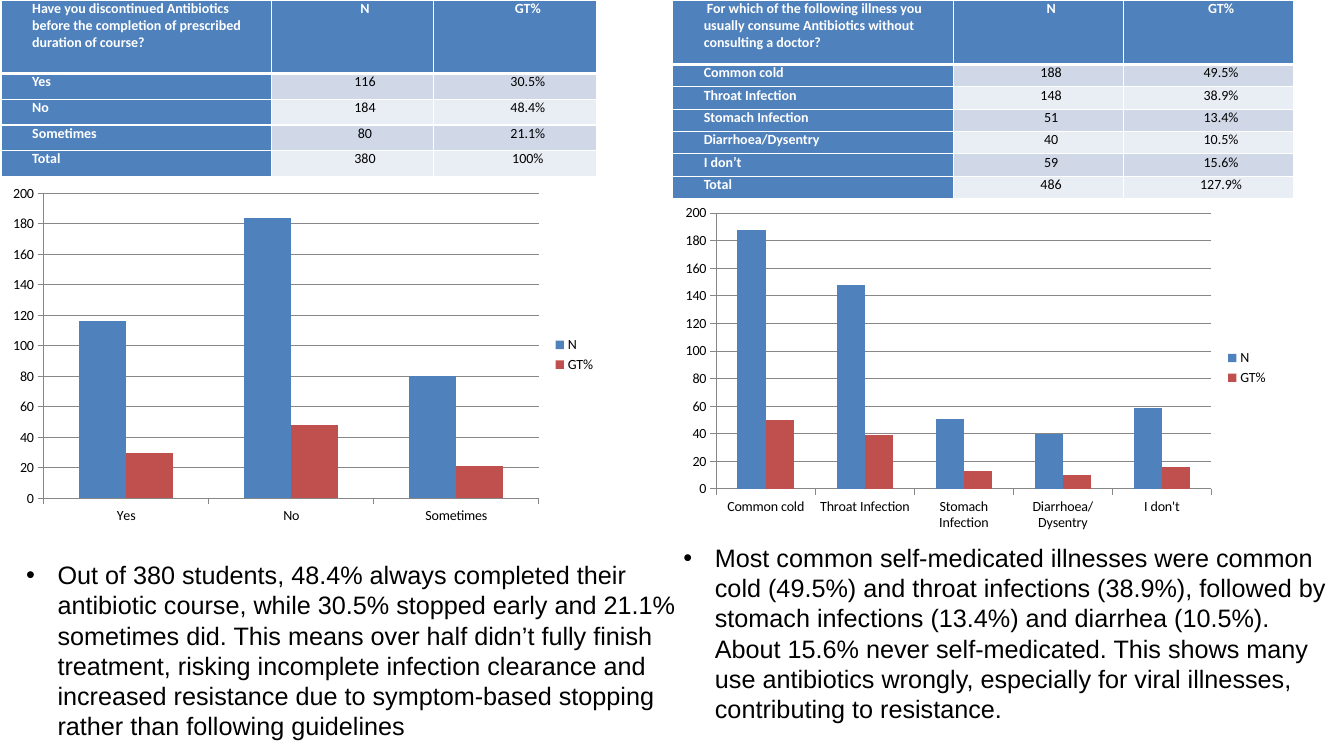
import pptx
import pptx.chart.data
import pptx.dml.color
import pptx.enum.chart
import pptx.enum.text
import pptx.oxml
import pptx.oxml.ns
import pptx.util
from pptx.util import Inches, Pt

# Content: one panel per survey question
PANELS = [
    {
        "question": "Have you discontinued Antibiotics before the completion of prescribed duration of course?",
        "answers": [("Yes", 116, 30.5), ("No", 184, 48.4), ("Sometimes", 80, 21.1)],
        "total": ("Total", "380", "100%"),
        "finding": "Out of 380 students, 48.4% always completed their antibiotic course, while 30.5% "
                   "stopped early and 21.1% sometimes did. This means over half didn’t fully finish "
                   "treatment, risking incomplete infection clearance and increased resistance due to "
                   "symptom-based stopping rather than following guidelines",
        "table_left": 0.01, "columns": (2.68, 1.61, 1.62), "header_height": 0.73, "table_height": 1.75,
        "chart": (0.01, 1.77, 6, 3.5), "text": (0.16, 5.5, 6.66, 1.92),
    },
    {
        "question": " For which of the following illness you usually consume Antibiotics without consulting a doctor?",
        "answers": [("Common cold", 188, 49.5), ("Throat Infection", 148, 38.9),
                    ("Stomach Infection", 51, 13.4), ("Diarrhoea/Dysentry", 40, 10.5),
                    ("I don’t", 59, 15.6)],
        "total": ("Total", "486", "127.9%"),
        "finding": "Most common self-medicated illnesses were common cold (49.5%) and throat infections "
                   "(38.9%), followed by stomach infections (13.4%) and diarrhea (10.5%). About 15.6% never "
                   "self-medicated. This shows many use antibiotics wrongly, especially for viral illnesses, "
                   "contributing to resistance.",
        "table_left": 6.67, "columns": (2.79, 1.68, 1.69), "header_height": 0.64, "table_height": 1.97,
        "chart": (6.68, 1.97, 6, 3.36), "text": (6.68, 5.33, 6.66, 1.92),
    },
]
BLUE, RED, WHITE, BLACK, GRAY = "4F81BD", "C0504D", "FFFFFF", "000000", "878787"
BANDS = ("D0D8E8", "E9EDF4")
BULLET_INDENT = Pt(22.5)


def color(hex_value):
    return pptx.dml.color.RGBColor.from_string(hex_value)


def set_font(font, name, size, hex_value, bold=False):
    font.name, font.size, font.bold = name, Pt(size), bold
    font.color.rgb = color(hex_value)


def set_borders(cell, bottom):
    properties = cell._tc.get_or_add_tcPr()
    for side, width in (("L", 1), ("R", 1), ("T", 1), ("B", bottom)):
        properties.append(pptx.oxml.parse_xml(
            f'<a:ln{side} {pptx.oxml.ns.nsdecls("a")} w="{Pt(width)}"><a:solidFill>'
            f'<a:srgbClr val="{WHITE}"/></a:solidFill></a:ln{side}>'))


def add_answer_table(slide, panel):
    rows = [(panel["question"], "N", "GT%")]
    rows += [(label, str(count), f"{share}%") for label, count, share in panel["answers"]]
    rows.append(panel["total"])
    body_count = len(rows) - 1
    row_height = (panel["table_height"] - panel["header_height"]) / body_count
    heights = [panel["header_height"]] + [row_height] * body_count
    table = slide.shapes.add_table(
        len(rows), 3, Inches(panel["table_left"]), 0,
        Inches(sum(panel["columns"])), Inches(panel["table_height"])).table
    for column, width in zip(table.columns, panel["columns"]):
        column.width = Inches(width)
    for row_index, (values, height) in enumerate(zip(rows, heights)):
        table.rows[row_index].height = Inches(height)
        for column_index, value in enumerate(values):
            cell = table.cell(row_index, column_index)
            heading = row_index == 0 or column_index == 0
            cell.margin_left = cell.margin_right = Inches(0.06)
            cell.margin_top = cell.margin_bottom = 0
            set_borders(cell, 3 if row_index == 0 else 1)
            cell.fill.solid()
            cell.fill.fore_color.rgb = color(BLUE if heading else BANDS[(row_index - 1) % 2])
            paragraph = cell.text_frame.paragraphs[0]
            paragraph.text = value
            paragraph._p.get_or_add_pPr().set("marL", str(Inches(0.25)))
            if column_index:
                paragraph.alignment = pptx.enum.text.PP_ALIGN.CENTER
            set_font(paragraph.font, "Calibri", 10, WHITE if heading else BLACK, heading)


def add_answer_chart(slide, panel):
    labels, counts, shares = zip(*panel["answers"])
    data = pptx.chart.data.CategoryChartData()
    data.categories = [label.replace("’", "'") for label in labels]
    data.add_series("N", counts)
    data.add_series("GT%", [round(share) for share in shares])
    chart = slide.shapes.add_chart(
        pptx.enum.chart.XL_CHART_TYPE.COLUMN_CLUSTERED, *map(Inches, panel["chart"]), data).chart
    set_font(chart.font, "Calibri", 10, BLACK)
    chart.has_title = False
    chart.has_legend = True
    chart.legend.position = pptx.enum.chart.XL_LEGEND_POSITION.RIGHT
    chart.legend.include_in_layout = False
    plot = chart.plots[0]
    plot.gap_width, plot.overlap, plot.vary_by_categories = 150, 0, False
    for series, fill in zip(plot.series, (BLUE, RED)):
        series.format.fill.solid()
        series.format.fill.fore_color.rgb = color(fill)
    chart.value_axis.has_major_gridlines = True
    for axis in (chart.category_axis, chart.value_axis):
        axis.major_tick_mark = pptx.enum.chart.XL_TICK_MARK.OUTSIDE
    for part in (chart.category_axis, chart.value_axis, chart.value_axis.major_gridlines):
        part.format.line.color.rgb = color(GRAY)
        part.format.line.width = Pt(0.75)


def add_finding(slide, panel):
    frame = slide.shapes.add_textbox(*map(Inches, panel["text"])).text_frame
    frame.word_wrap = True
    frame.auto_size = pptx.enum.text.MSO_AUTO_SIZE.SHAPE_TO_FIT_TEXT
    paragraph = frame.paragraphs[0]
    paragraph.text = panel["finding"]
    properties = paragraph._p.get_or_add_pPr()
    properties.set("marL", str(BULLET_INDENT))
    properties.set("indent", str(-BULLET_INDENT))
    for bullet in ('<a:buFont {} typeface="Arial"/>', '<a:buChar {} char="•"/>'):
        properties.append(pptx.oxml.parse_xml(bullet.format(pptx.oxml.ns.nsdecls("a"))))
    set_font(paragraph.font, "Arial", 18, BLACK)


def main():
    presentation = pptx.Presentation()
    presentation.slide_width, presentation.slide_height = Inches(13.33), Inches(7.5)
    slide = presentation.slides.add_slide(presentation.slide_layouts[6])
    for panel in PANELS:
        add_answer_table(slide, panel)
        add_answer_chart(slide, panel)
        add_finding(slide, panel)
    presentation.save("out.pptx")


if __name__ == "__main__":
    main()
